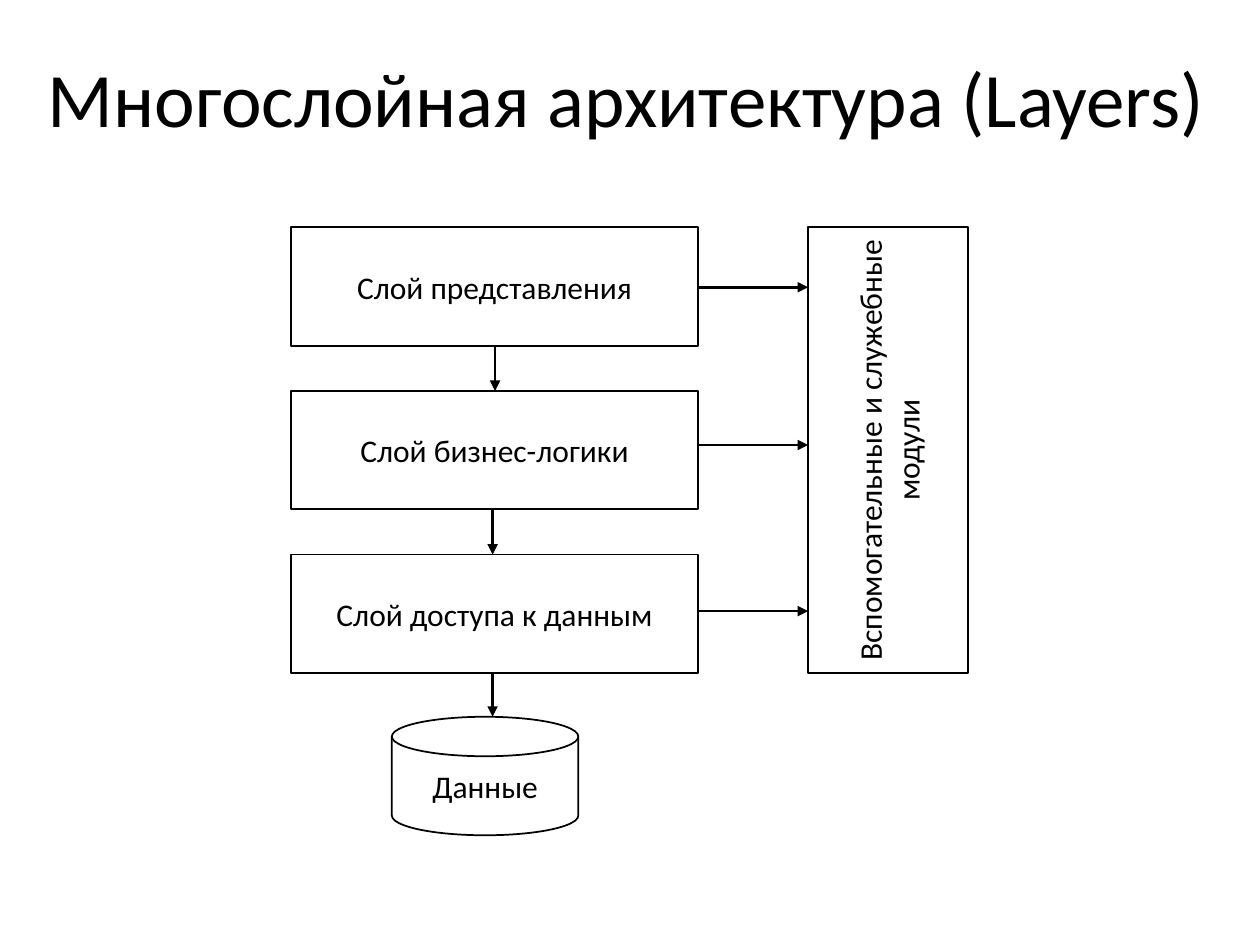
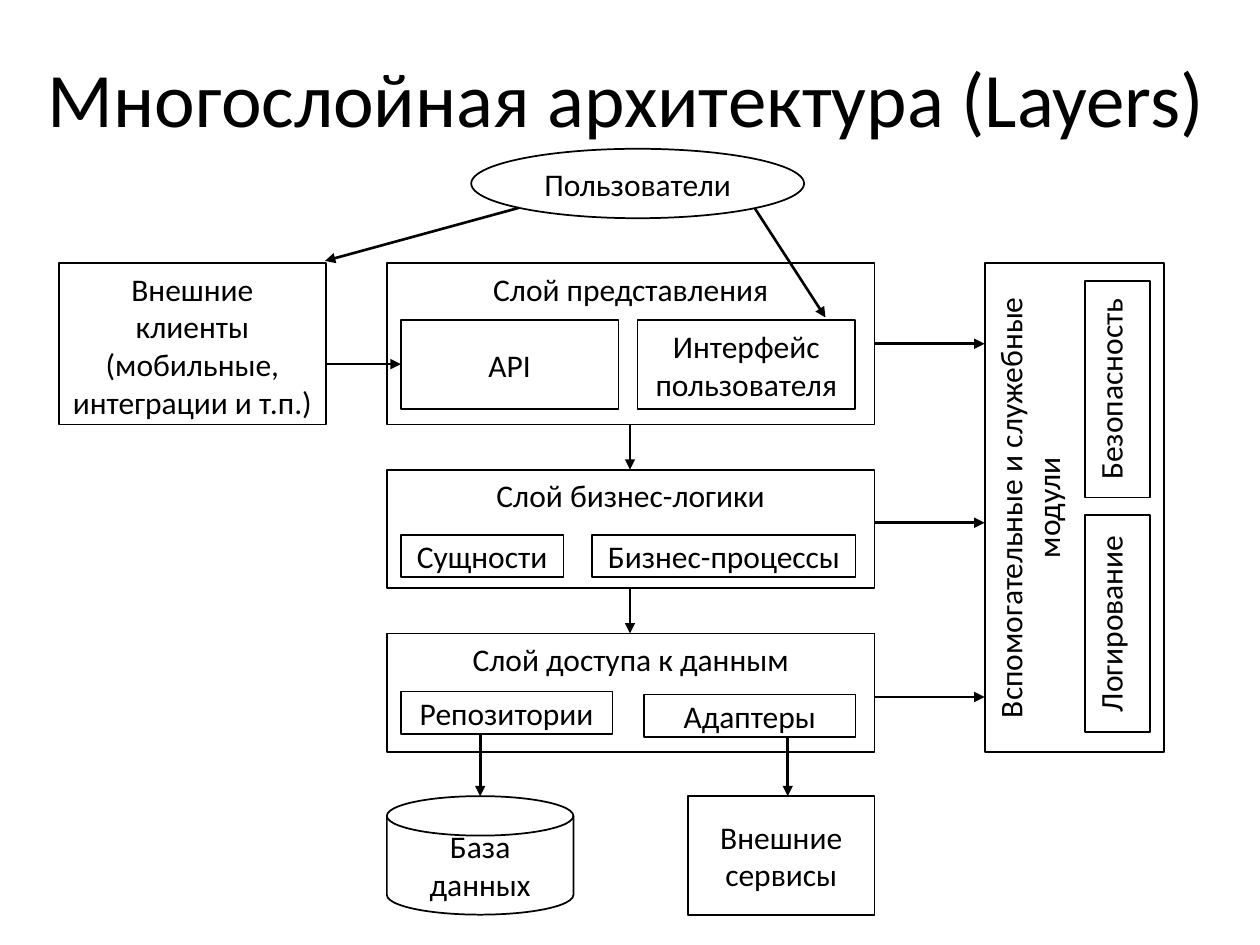
"""Build two slides that show a layered architecture as block diagrams."""
from lxml.etree import SubElement
from pptx import Presentation
from pptx.dml.color import RGBColor
from pptx.enum.shapes import MSO_CONNECTOR, MSO_SHAPE
from pptx.enum.text import MSO_ANCHOR, MSO_AUTO_SIZE, PP_ALIGN
from pptx.oxml.ns import qn
from pptx.util import Cm, Pt

COLORS = {"ink": "000000", "paper": "FFFFFF"}
FONT = "Calibri"
TITLE = "Многослойная архитектура (Layers)"
LAYERS = ["Слой представления", "Слой бизнес-логики", "Слой доступа к данным"]
SIDE = "Вспомогательные и служебные модули"
KINDS = {
    "box": MSO_SHAPE.RECTANGLE,
    "disk": MSO_SHAPE.FLOWCHART_MAGNETIC_DISK,
    "oval": MSO_SHAPE.OVAL,
}
LAYER_GAP, SIDE_GAP = 0.91, 2.22

SLIDES = [
    {
        "layers": {"left": 5.87, "top": 4.58, "width": 8.2, "heights": [2.39, 2.39, 2.39]},
        "side_width": 3.23,
        "top_text": False,
        "nodes": [("Данные", 7.9, 14.45, 3.76, 2.39, {"kind": "disk"})],
        "down": [(LAYERS[0], LAYERS[1], 9.98), (LAYERS[1], LAYERS[2], 9.93),
                 (LAYERS[2], "Данные", 9.93)],
        "right": [(LAYERS[0], SIDE, 5.79), (LAYERS[1], SIDE, 8.97), (LAYERS[2], SIDE, 12.32)],
        "slanted": [],
    },
    {
        "layers": {"left": 7.8, "top": 5.31, "width": 9.83, "heights": [3.25, 2.39, 2.39]},
        "side_width": 3.61,
        "top_text": True,
        "nodes": [
            ("Пользователи", 9.5, 3, 6.71, 1.4, {"kind": "oval"}),
            ("Внешние клиенты (мобильные, интеграции и т.п.)", 1.19, 5.31, 5.38, 3.25,
             {"top_text": True}),
            ("API", 8.08, 6.45, 4.39, 1.8, {}),
            ("Интерфейс пользователя", 12.85, 6.45, 4.39, 1.8, {}),
            ("Сущности", 8.08, 10.78, 3.28, 0.86, {}),
            ("Бизнес-процессы", 11.94, 10.78, 5.31, 0.86, {}),
            ("Репозитории", 8.08, 13.94, 4.27, 0.86, {}),
            ("Адаптеры", 12.98, 14, 4.27, 0.86, {}),
            ("База данных", 7.8, 16.05, 3.76, 2.39, {"kind": "disk"}),
            ("Внешние сервисы", 13.87, 16.05, 3.76, 2.39, {}),
            ("Безопасность", 21.87, 5.66, 1.32, 4.37, {"top_text": True, "upright": True}),
            ("Логирование", 21.87, 10.39, 1.32, 4.37, {"top_text": True, "upright": True}),
        ],
        "down": [(LAYERS[0], LAYERS[1], 12.7), (LAYERS[1], LAYERS[2], 12.7),
                 ("Репозитории", "База данных", 9.68), ("Адаптеры", "Внешние сервисы", 15.88)],
        "right": [(LAYERS[0], SIDE, 6.93), (LAYERS[1], SIDE, 10.54), (LAYERS[2], SIDE, 14.05),
                  ("Внешние клиенты (мобильные, интеграции и т.п.)", "API", 7.34)],
        "slanted": [(10.46, 4.19, 6.55, 5.26), (15.21, 4.19, 16.64, 6.4)],
    },
]


def rgb(name):
    return RGBColor.from_string(COLORS[name])


def add_run(p, text, size):
    r = p.add_run()
    r.text = text
    r.font.name = FONT
    r.font.size = Pt(size)
    r.font.color.rgb = rgb("ink")


def add_title(s):
    sp = s.shapes.title
    sp.left, sp.top, sp.width, sp.height = Cm(0.71), Cm(0.23), Cm(24.38), Cm(3.68)
    tf = sp.text_frame
    tf.auto_size = MSO_AUTO_SIZE.NONE
    tf.vertical_anchor = MSO_ANCHOR.MIDDLE
    p = tf.paragraphs[0]
    p.alignment = PP_ALIGN.LEFT
    p.line_spacing = 0.9
    add_run(p, TITLE, 44)


def add_node(s, text, left, top, width, height, kind="box", top_text=False, upright=False):
    sp = s.shapes.add_shape(KINDS[kind], Cm(left), Cm(top), Cm(width), Cm(height))
    sp.shadow.inherit = False
    sp.fill.solid()
    sp.fill.fore_color.rgb = rgb("paper")
    sp.line.color.rgb = rgb("ink")
    sp.line.width = Pt(1)
    tf = sp.text_frame
    tf.word_wrap = True
    tf.vertical_anchor = MSO_ANCHOR.TOP if top_text else MSO_ANCHOR.MIDDLE
    if upright:
        sp.element.txBody.bodyPr.set("vert", "vert270")
    p = tf.paragraphs[0]
    p.alignment = PP_ALIGN.CENTER
    add_run(p, text, 18)


def add_arrow(s, x1, y1, x2, y2):
    ln = s.shapes.add_connector(MSO_CONNECTOR.STRAIGHT, Cm(x1), Cm(y1), Cm(x2), Cm(y2))
    ln.line.color.rgb = rgb("ink")
    ln.line.width = Pt(1.5)
    SubElement(ln.line._get_or_add_ln(), qn("a:tailEnd"), type="triangle")
    SubElement(ln.element.spPr, qn("a:effectLst"))


def stack_nodes(spec):
    """Return the stacked layers and the module block beside them."""
    box, top = spec["layers"], spec["layers"]["top"]
    style = {"top_text": spec["top_text"]}
    nodes = []
    for name, height in zip(LAYERS, box["heights"]):
        nodes.append((name, box["left"], top, box["width"], height, style))
        top += height + LAYER_GAP
    side_left = box["left"] + box["width"] + SIDE_GAP
    side_height = top - LAYER_GAP - box["top"]
    nodes.append((SIDE, side_left, box["top"], spec["side_width"], side_height,
                  {**style, "upright": True}))
    return nodes


def build_slide(prs, spec):
    s = prs.slides.add_slide(prs.slide_layouts[5])
    add_title(s)
    places = {}
    for text, left, top, width, height, style in stack_nodes(spec) + spec["nodes"]:
        add_node(s, text, left, top, width, height, **style)
        places[text] = (left, top, left + width, top + height)
    for start, end, x in spec["down"]:
        add_arrow(s, x, places[start][3], x, places[end][1])
    for start, end, y in spec["right"]:
        add_arrow(s, places[start][2], y, places[end][0], y)
    for points in spec["slanted"]:
        add_arrow(s, *points)


def main():
    prs = Presentation()
    prs.slide_width, prs.slide_height = Cm(25.4), Cm(19.05)
    for spec in SLIDES:
        build_slide(prs, spec)
    prs.save("out.pptx")


if __name__ == "__main__":
    main()
